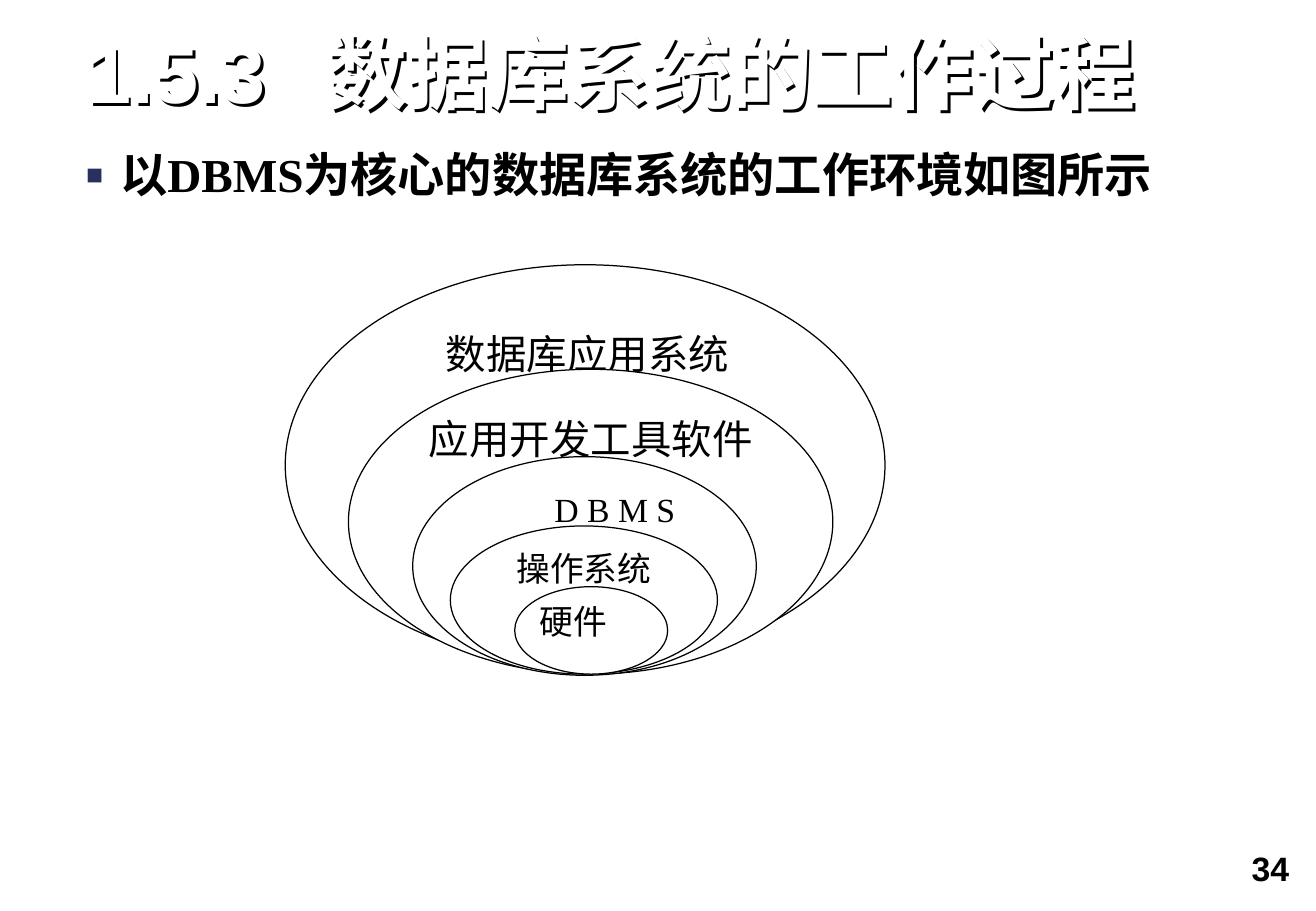
from lxml import etree
from pptx import Presentation
from pptx.dml.color import RGBColor
from pptx.enum.shapes import MSO_SHAPE
from pptx.enum.text import MSO_ANCHOR, PP_ALIGN
from pptx.oxml.ns import qn
from pptx.util import Inches, Pt

OVAL = MSO_SHAPE.OVAL
TOP = MSO_ANCHOR.TOP
LEFT, CENTER, RIGHT = PP_ALIGN.LEFT, PP_ALIGN.CENTER, PP_ALIGN.RIGHT
SERIF, SANS = "Times New Roman", "Arial"
BLACK, WHITE, NAVY = "000000", "FFFFFF", "27305F"

LAYERS = [
    ((2.35, 2.18, 4.94, 3.3), "数据库应用系统",
     {"size": 24, "align": LEFT, "margins": (0.1, 0.05), "indent": 0.5}),
    ((2.87, 3.04, 3.99, 2.51), "应用开发工具软件", {"size": 24, "align": CENTER}),
    ((3.4, 3.76, 2.83, 1.8), "D B M S", {"size": 20, "align": CENTER, "indent": 0.5}),
    ((3.71, 4.33, 2.2, 1.22), "操作系统", {"size": 20, "align": CENTER}),
    ((4.24, 4.83, 1.26, 0.72), "硬件",
     {"size": 20, "align": LEFT, "margins": (0.02, 0.01)}),
]


def rgb(color):
    return RGBColor.from_string(color)


def add_element(parent, tag, **attributes):
    return etree.SubElement(parent, qn(tag), attributes)


def write_text(shape, text, size, font=SERIF, color=BLACK, bold=False, align=LEFT,
               margins=(0, 0), indent=0, line_spacing=None, space_before=None):
    frame = shape.text_frame
    frame.word_wrap = True
    frame.vertical_anchor = TOP
    frame.margin_left = frame.margin_right = Inches(margins[0])
    frame.margin_top = frame.margin_bottom = Inches(margins[1])
    paragraph = frame.paragraphs[0]
    paragraph.alignment = align
    paragraph.line_spacing = line_spacing
    paragraph.space_before = space_before
    if indent:
        paragraph._p.get_or_add_pPr().set("marL", str(Inches(indent)))
    run = paragraph.add_run()
    run.text = text
    run.font.size = Pt(size)
    run.font.name = font
    run.font.bold = bold
    run.font.color.rgb = rgb(color)


def add_text(slide, box, text, **text_format):
    shape = slide.shapes.add_textbox(*map(Inches, box))
    write_text(shape, text, **text_format)
    return shape


def add_layer(slide, box, text, **text_format):
    shape = slide.shapes.add_shape(OVAL, *map(Inches, box))
    shape.shadow.inherit = False
    shape.fill.solid()
    shape.fill.fore_color.rgb = rgb(WHITE)
    shape.line.color.rgb = rgb(BLACK)
    shape.line.width = Pt(0.75)
    write_text(shape, text, **text_format)


def add_tab_stop(shape, position):
    properties = shape.text_frame.paragraphs[0]._p.get_or_add_pPr()
    tabs = add_element(properties, "a:tabLst")
    add_element(tabs, "a:tab", pos=str(Inches(position)), algn="l")


def add_text_shadow(shape, color, distance):
    effects = add_element(shape._element.spPr, "a:effectLst")
    shadow = add_element(effects, "a:outerShdw", dist=str(Inches(distance)),
                         dir="2700000", algn="ctr", rotWithShape="0")
    add_element(shadow, "a:srgbClr", val=color)


def add_bullet(shape, character, color, percent, hanging):
    properties = shape.text_frame.paragraphs[0]._p.get_or_add_pPr()
    properties.set("indent", str(-Inches(hanging)))
    add_element(add_element(properties, "a:buClr"), "a:srgbClr", val=color)
    add_element(properties, "a:buSzPct", val=str(percent * 1000))
    add_element(properties, "a:buFont", typeface=SANS)
    add_element(properties, "a:buChar", char=character)


def main():
    presentation = Presentation()
    presentation.slide_width = Inches(10.84)
    presentation.slide_height = Inches(7.5)
    slide = presentation.slides.add_slide(presentation.slide_layouts[6])

    add_text(slide, (8.01, 6.92, 2.74, 0.58), "34", size=20, font=SANS, bold=True,
             align=RIGHT, margins=(0.13, 0.06))

    title = add_text(slide, (0.71, 0.28, 9.65, 0.72), "1.5.3\t数据库系统的工作过程",
                     size=48, font=SANS, color=WHITE, bold=True, line_spacing=0.9)
    add_tab_stop(title, 1.98)
    add_text_shadow(title, BLACK, distance=0.03)

    statement = add_text(slide, (0.71, 1.25, 9.65, 0.42),
                         "以DBMS为核心的数据库系统的工作环境如图所示", size=28, bold=True,
                         indent=0.28, line_spacing=0.9, space_before=Pt(12.2))
    add_bullet(statement, "■", NAVY, percent=60, hanging=0.28)

    for box, text, text_format in LAYERS:
        add_layer(slide, box, text, **text_format)

    presentation.save("out.pptx")


if __name__ == "__main__":
    main()
